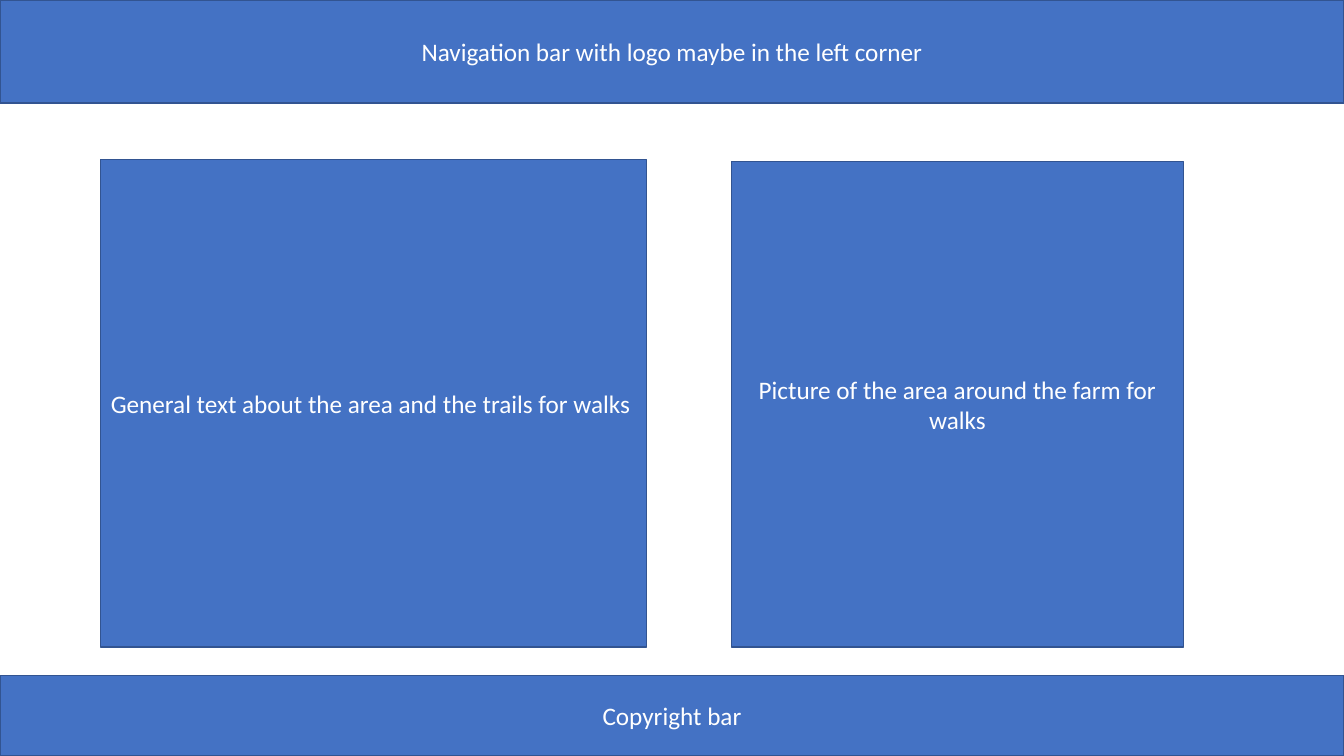
from dataclasses import dataclass

from pptx import Presentation
from pptx import util as u
from pptx.dml.color import RGBColor
from pptx.enum import shapes, text


@dataclass(frozen=True)
class Theme:
    fill: RGBColor = RGBColor(0x44, 0x72, 0xC4)
    outline: RGBColor = RGBColor(0x32, 0x54, 0x91)
    label: RGBColor = RGBColor(0xFF, 0xFF, 0xFF)
    font: str = "Calibri"
    size: float = 18
    line_width: float = 1


THEME = Theme()
PAGE_WIDTH, PAGE_HEIGHT = 960, 540
HEADER_HEIGHT, FOOTER_HEIGHT = 73.5, 57.6
PANEL_BOTTOM = 462.3


def apply_format(target, values):
    for name, value in values.items():
        setattr(target, name, value)


def add_block(page, label, left, top, width, height):
    """Add an outlined rectangle with a centred label."""
    box = page.shapes.add_shape(
        shapes.MSO_SHAPE.RECTANGLE,
        *(u.Pt(length) for length in (left, top, width, height)),
    )
    box.shadow.inherit = False
    box.fill.solid()
    box.fill.fore_color.rgb = THEME.fill
    box.line.color.rgb = THEME.outline
    box.line.width = u.Pt(THEME.line_width)

    frame = box.text_frame
    apply_format(frame, {"word_wrap": True,
                         "vertical_anchor": text.MSO_ANCHOR.MIDDLE})
    para = frame.paragraphs[0]
    para.alignment = text.PP_ALIGN.CENTER
    span = para.add_run()
    span.text = label
    apply_format(span.font, {"name": THEME.font, "size": u.Pt(THEME.size)})
    span.font.color.rgb = THEME.label


def add_bar(page, label, top, height):
    """Add a block across the full page width."""
    add_block(page, label, 0, top, PAGE_WIDTH, height)


def add_panel(page, label, left, top, width):
    """Add a content block that ends on the shared bottom edge."""
    add_block(page, label, left, top, width, PANEL_BOTTOM - top)


def main():
    deck = Presentation()
    apply_format(deck, {"slide_width": u.Pt(PAGE_WIDTH),
                        "slide_height": u.Pt(PAGE_HEIGHT)})
    page = deck.slides.add_slide(deck.slide_layouts[6])

    # Header and footer bars
    add_bar(page, "Navigation bar with logo maybe in the left corner",
            0, HEADER_HEIGHT)
    add_bar(page, "Copyright bar", PAGE_HEIGHT - FOOTER_HEIGHT, FOOTER_HEIGHT)

    # Content panels
    add_panel(page, "General text about the area and the trails for walks ",
              71.7, 113.8, 390.3)
    add_panel(page, "Picture of the area around the farm for walks",
              522.5, 115.2, 322.8)

    deck.save("out.pptx")


if __name__ == "__main__":
    main()
